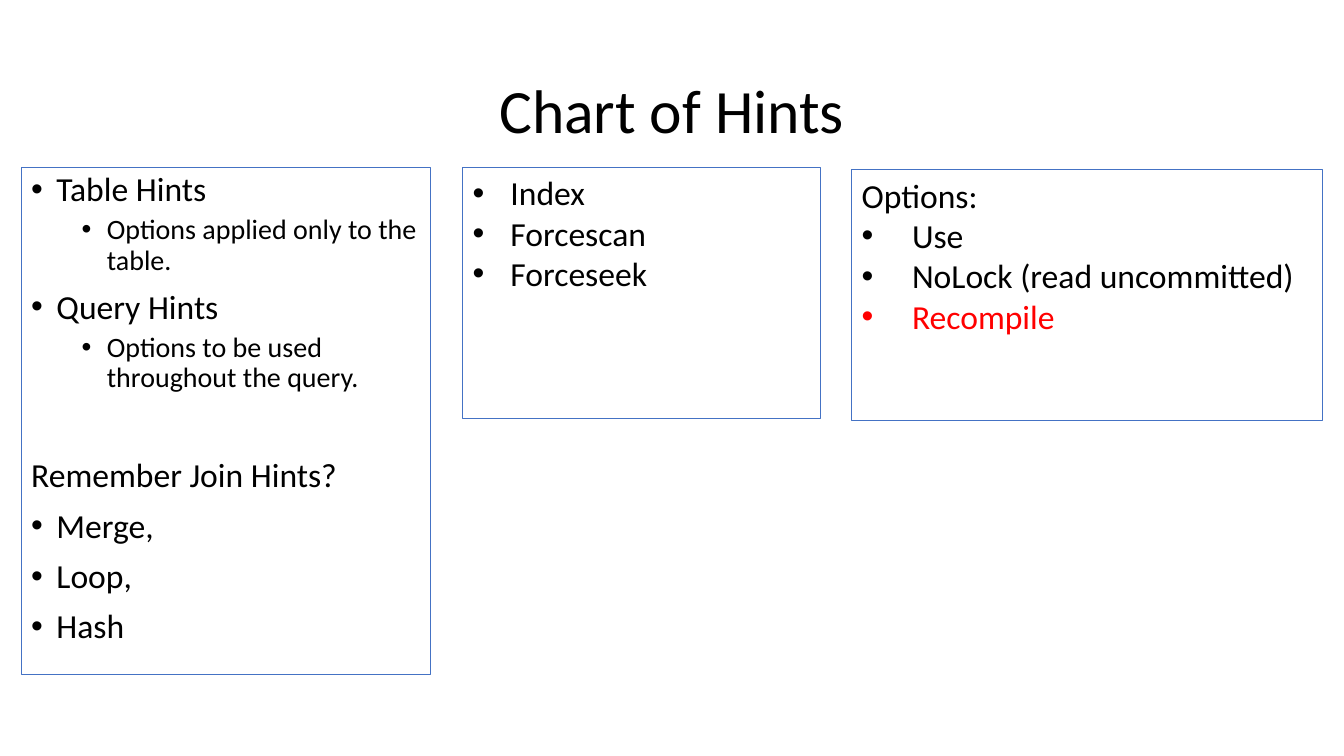
from lxml.etree import SubElement
from pptx import Presentation
from pptx.dml.color import RGBColor
from pptx.enum.text import MSO_ANCHOR, MSO_AUTO_SIZE, PP_ALIGN
from pptx.oxml.ns import qn
from pptx.util import Pt

COLORS = {"text": "000000", "border": "4472C4", "alert": "FF0000"}
FONT = "Calibri"


def format_paragraph(paragraph, text, size, color="text", indent=0, hanging=0):
    """Write one paragraph, with a hanging bullet if hanging is above zero."""
    paragraph.text = text
    properties = paragraph._p.get_or_add_pPr()
    properties.set("marL", str(Pt(indent)))
    properties.set("indent", str(-Pt(hanging)))
    if hanging:
        SubElement(properties, qn("a:buFont"), typeface="Arial")
        SubElement(properties, qn("a:buChar"), char="•")
    else:
        SubElement(properties, qn("a:buNone"))
    paragraph.font.name = FONT
    paragraph.font.size = Pt(size)
    paragraph.font.color.rgb = RGBColor.from_string(COLORS[color])


def format_box(box):
    """Give a box its thin border and plain wrapped text from the top."""
    box.line.color.rgb = RGBColor.from_string(COLORS["border"])
    box.line.width = Pt(0.75)
    box.text_frame.word_wrap = True
    box.text_frame.auto_size = MSO_AUTO_SIZE.NONE
    box.text_frame.vertical_anchor = MSO_ANCHOR.TOP


presentation = Presentation()
presentation.slide_width = Pt(960)
presentation.slide_height = Pt(540)
slide = presentation.slides.add_slide(presentation.slide_layouts[1])

# Title
title = slide.shapes.title
title.left, title.top, title.width, title.height = Pt(66), Pt(28.75), Pt(828), Pt(104.4)
title.text_frame.auto_size = MSO_AUTO_SIZE.NONE
title.text_frame.vertical_anchor = MSO_ANCHOR.MIDDLE
heading = title.text_frame.paragraphs[0]
format_paragraph(heading, "Chart of Hints", 44)
heading.alignment = PP_ALIGN.CENTER
heading.line_spacing = 0.9

# Kinds of hints: text, level, hanging bullet, space before
hint_kinds = [
    ("Table Hints", 0, 18, 10),
    ("Options applied only to the table.", 1, 18, 5),
    ("Query Hints", 0, 18, 10),
    ("Options to be used throughout the query.", 1, 18, 5),
    ("Remember Join Hints?", 0, 0, 46.4),
    ("Merge,", 0, 18, 10),
    ("Loop,", 0, 18, 10),
    ("Hash", 0, 18, 10),
]
body = slide.placeholders[1]
body.left, body.top, body.width, body.height = Pt(15.1), Pt(119.5), Pt(292.3), Pt(362.2)
format_box(body)
for index, (text, level, hanging, space) in enumerate(hint_kinds):
    frame = body.text_frame
    paragraph = frame.add_paragraph() if index else frame.paragraphs[0]
    paragraph.level = level
    format_paragraph(paragraph, text, 20 if level else 24,
                     indent=36 * level + hanging, hanging=hanging)
    paragraph.line_spacing = 0.9
    paragraph.space_before = Pt(space)

# Hint lists: left, top, width, then text, colour and hanging bullet of each line
hint_lists = [
    (330.5, 119.5, 255.6, [
        ("Index", "text", 27),
        ("Forcescan", "text", 27),
        ("Forceseek", "text", 27),
    ]),
    (608.4, 121.2, 336.2, [
        ("Options:", "text", 0),
        ("Use", "text", 36),
        ("NoLock (read uncommitted)", "text", 36),
        ("Recompile", "alert", 36),
    ]),
]
for left, top, width, lines in hint_lists:
    box = slide.shapes.add_textbox(Pt(left), Pt(top), Pt(width), Pt(179.3))
    format_box(box)
    for index, (text, color, hanging) in enumerate(lines):
        frame = box.text_frame
        paragraph = frame.add_paragraph() if index else frame.paragraphs[0]
        format_paragraph(paragraph, text, 24, color, hanging, hanging)

presentation.save("out.pptx")
